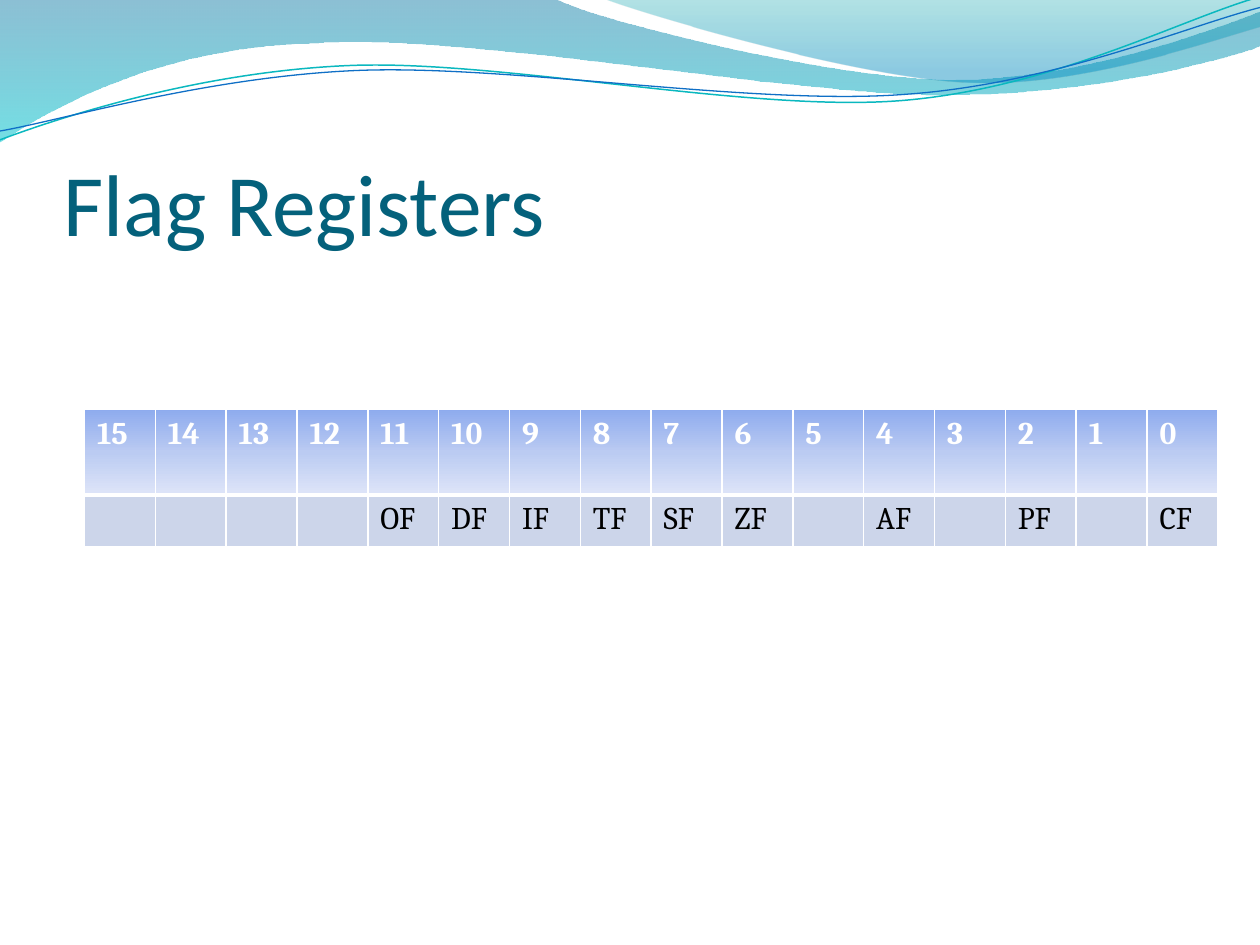
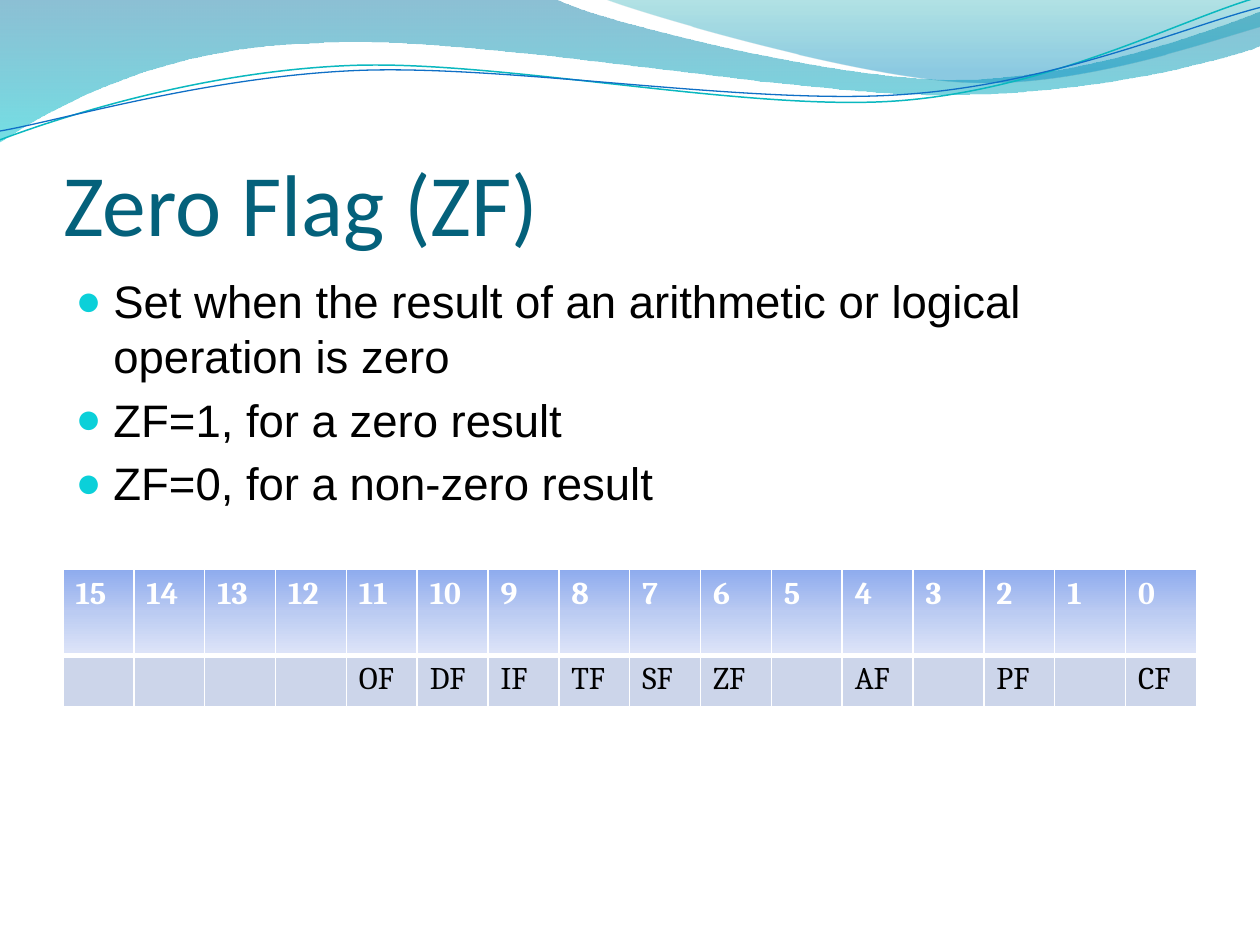
from dataclasses import dataclass
from math import cos, radians, sin
from typing import Optional

from pptx import Presentation
from pptx.dml.color import RGBColor
from pptx.enum.text import MSO_ANCHOR, MSO_AUTO_SIZE, PP_ALIGN
from pptx.oxml import parse_xml
from pptx.oxml.ns import nsdecls, qn
from pptx.util import Inches, Pt


@dataclass(frozen=True)
class Stop:
    position: int
    color: str
    opacity: int = 100


@dataclass(frozen=True)
class Theme:
    title_font: str = "Calibri"
    body_font: str = "Arial"
    table_font: str = "Cambria"
    title_size: int = 50
    body_size: int = 26
    table_size: int = 18
    title: str = "04617B"
    text: str = "000000"
    white: str = "FFFFFF"
    bullet: str = "0BD0D9"
    flag_fill: str = "CCD5EA"
    bit_fill: tuple[Stop, ...] = (
        Stop(0, "8EABEE"), Stop(50, "BBCBF2"), Stop(100, "DEE5F8"))
    wide_wave: tuple[Stop, ...] = (Stop(0, "0074A1", 45), Stop(100, "00C6CF", 55))
    corner_wave: tuple[Stop, ...] = (Stop(0, "00A1A9", 30), Stop(80, "008BBF", 45))
    teal_line: str = "0AB8BF"
    blue_line: str = "0F6FC6"


THEME = Theme()
Point = tuple[float, float]


@dataclass(frozen=True)
class Wave:
    """Segments hold an end point, or two control points and an end point."""
    start: Point
    segments: tuple[tuple[float, ...], ...]
    fill: tuple[Stop, ...] = ()
    line: Optional[str] = None
    width: float = 0
    tilt: float = 0
    pivot: Point = (0, 0)


@dataclass(frozen=True)
class FlagSlide:
    title: str
    table_left: float
    table_top: float
    points: tuple[str, ...] = ()


LINE_TILT = -2.7
WAVES = (
    Wave((0, 0), (
        (4.4, -0.01),
        (4.76, 0.17, 6.64, 0.63, 7.58, 0.63),
        (8.53, 0.63, 9.58, 0.26, 10, 0.09),
        (10.01, 0.36),
        (9.83, 0.44, 8.7, 0.76, 7.46, 0.75),
        (6.22, 0.75, 3.82, 0.28, 2.57, 0.34),
        (1.29, 0.36, 0.46, 0.83, -0.01, 1.13),
        (0, 0),
    ), fill=THEME.wide_wave),
    Wave((4.79, -0.01), (
        (5.09, 0.11, 6.82, 0.62, 7.69, 0.65),
        (8.56, 0.69, 9.61, 0.32, 10, 0.21),
        (10, 0),
        (4.79, -0.01),
    ), fill=THEME.corner_wave),
    Wave((0, 1.11), (
        (0.48, 0.93, 1.58, 0.57, 2.77, 0.52),
        (3.95, 0.47, 5.93, 0.89, 7.13, 0.8),
        (8.33, 0.71, 9.38, 0.15, 9.98, -0.02),
    ), line=THEME.teal_line, width=0.85, tilt=LINE_TILT, pivot=(4.99, 0.57)),
    Wave((0, 1.04), (
        (0.47, 0.96, 1.64, 0.61, 2.83, 0.56),
        (4.03, 0.51, 5.97, 0.84, 7.17, 0.75),
        (8.36, 0.67, 9.41, 0.21, 10, 0.06),
    ), line=THEME.blue_line, width=0.75, tilt=LINE_TILT, pivot=(5, 0.59)),
)

BIT_COUNT = 16
TABLE_WIDTH = 9
ROW_HEIGHTS = (0.68, 0.4)
FLAGS = {11: "OF", 10: "DF", 9: "IF", 8: "TF", 7: "SF", 6: "ZF",
         4: "AF", 2: "PF", 0: "CF"}

SLIDES = (
    FlagSlide("Flag Registers", 0.67, 3.25),
    FlagSlide("Zero Flag (ZF)", 0.5, 4.52, (
        "Set when the result of an arithmetic or logical operation is zero",
        "ZF=1, for a zero result",
        "ZF=0, for a non-zero result",
    )),
)


# Shared formatting
def style_runs(paragraph, font: str, size: int, color: str, bold: bool = False) -> None:
    for run in paragraph.runs:
        run.font.name = font
        run.font.size = Pt(size)
        run.font.bold = bold
        run.font.color.rgb = RGBColor.from_string(color)


def fill_gradient(fill, properties, stops: tuple[Stop, ...]) -> None:
    """Swap a solid fill for a gradient running from top to bottom."""
    fill.solid()
    stop_xml = "".join(
        f'<a:gs pos="{stop.position * 1000}"><a:srgbClr val="{stop.color}">'
        f'<a:alpha val="{stop.opacity * 1000}"/></a:srgbClr></a:gs>'
        for stop in stops)
    gradient = parse_xml(
        f'<a:gradFill {nsdecls("a")} rotWithShape="1"><a:gsLst>{stop_xml}</a:gsLst>'
        '<a:lin ang="5400000" scaled="0"/></a:gradFill>')
    properties.replace(properties.find(qn("a:solidFill")), gradient)


def place(shape, left: float, top: float, width: float, height: float) -> None:
    shape.left, shape.top = Inches(left), Inches(top)
    shape.width, shape.height = Inches(width), Inches(height)


# Wave band on the master
def level_point(x: float, y: float, wave: Wave) -> tuple[int, int]:
    """Take the tilt out of a point, since the shape's rotation puts it back."""
    angle = radians(-wave.tilt)
    dx, dy = x - wave.pivot[0], y - wave.pivot[1]
    return (Inches(wave.pivot[0] + dx * cos(angle) - dy * sin(angle)),
            Inches(wave.pivot[1] + dx * sin(angle) + dy * cos(angle)))


def bend_segments(ribbon, segments: tuple[tuple[float, ...], ...]) -> None:
    """Join each run of three straight steps that stands for a Bézier curve."""
    steps = iter(ribbon.element.spPr.findall(f'.//{qn("a:lnTo")}'))
    for segment in segments:
        first = next(steps)
        if len(segment) == 2:
            continue
        curve = parse_xml(f'<a:cubicBezTo {nsdecls("a")}/>')
        first.addprevious(curve)
        for step in (first, next(steps), next(steps)):
            curve.append(step[0])
            step.getparent().remove(step)


def draw_wave(slide, wave: Wave):
    points = [wave.start]
    for segment in wave.segments:
        points += zip(segment[::2], segment[1::2])
    vertices = [level_point(x, y, wave) for x, y in points]
    builder = slide.shapes.build_freeform(*vertices[0])
    builder.add_line_segments(vertices[1:], close=bool(wave.fill))
    ribbon = builder.convert_to_shape()
    bend_segments(ribbon, wave.segments)
    ribbon.rotation = wave.tilt
    ribbon.shadow.inherit = False
    if wave.fill:
        fill_gradient(ribbon.fill, ribbon.element.spPr, wave.fill)
        ribbon.line.fill.background()
    else:
        ribbon.fill.background()
        ribbon.line.color.rgb = RGBColor.from_string(wave.line)
        ribbon.line.width = Pt(wave.width)
    return ribbon


def add_master_band(master, slide) -> None:
    """Draw the waves on a slide, then move them behind everything on the master."""
    for index, wave in enumerate(WAVES):
        ribbon = draw_wave(slide, wave).element
        ribbon.nvSpPr.cNvPr.set("id", str(100 + index))
        master.shapes.element.insert(2 + index, ribbon)


# Title and list
def write_title(title, text: str) -> None:
    place(title, 0.5, 0.77, 9, 1.25)
    frame = title.text_frame
    frame.text = text
    frame.auto_size = MSO_AUTO_SIZE.NONE
    frame.vertical_anchor = MSO_ANCHOR.BOTTOM
    frame.margin_left = frame.margin_right = frame.margin_bottom = 0
    frame.margin_top = Inches(0.05)
    heading = frame.paragraphs[0]
    heading.alignment = PP_ALIGN.LEFT
    style_runs(heading, THEME.title_font, THEME.title_size, THEME.title)


def write_points(body, points: tuple[str, ...]) -> None:
    place(body, 0.5, 2.12, 9, 4.8)
    frame = body.text_frame
    frame.text = "\n".join(points)
    frame.auto_size = MSO_AUTO_SIZE.NONE
    for point in frame.paragraphs:
        style_runs(point, THEME.body_font, THEME.body_size, THEME.text)
        properties = point._p.get_or_add_pPr()
        properties.set("marL", str(Inches(0.3)))
        properties.set("indent", str(-Inches(0.3)))
        for bullet_xml in (
            f'<a:spcBef {nsdecls("a")}><a:spcPct val="20000"/></a:spcBef>',
            f'<a:buClr {nsdecls("a")}><a:srgbClr val="{THEME.bullet}"/></a:buClr>',
            f'<a:buSzPct {nsdecls("a")} val="95000"/>',
            f'<a:buFont {nsdecls("a")} typeface="{THEME.body_font}"/>',
            f'<a:buChar {nsdecls("a")} char="●"/>',
        ):
            properties.append(parse_xml(bullet_xml))


# Register table
def set_borders(cell, top: int, bottom: int) -> None:
    properties = cell._tc.get_or_add_tcPr()
    widths = {"lnL": 1, "lnR": 1, "lnT": top, "lnB": bottom}
    for index, (side, width) in enumerate(widths.items()):
        properties.insert(index, parse_xml(
            f'<a:{side} {nsdecls("a")} w="{Pt(width)}"><a:solidFill>'
            f'<a:srgbClr val="{THEME.white}"/></a:solidFill></a:{side}>'))


def write_cell(cell, text: str, color: str, bold: bool) -> None:
    cell.text = text
    style_runs(cell.text_frame.paragraphs[0], THEME.table_font, THEME.table_size,
               color, bold)


def add_register(slide, left: float, top: float) -> None:
    register = slide.shapes.add_table(
        2, BIT_COUNT, Inches(left), Inches(top),
        Inches(TABLE_WIDTH), Inches(sum(ROW_HEIGHTS))).table
    register.horz_banding = False
    for row, height in zip(register.rows, ROW_HEIGHTS):
        row.height = Inches(height)
    for column, bit in enumerate(reversed(range(BIT_COUNT))):
        register.columns[column].width = Inches(TABLE_WIDTH / BIT_COUNT)
        bit_cell, flag_cell = register.cell(0, column), register.cell(1, column)
        write_cell(bit_cell, str(bit), THEME.white, True)
        fill_gradient(bit_cell.fill, bit_cell._tc.get_or_add_tcPr(), THEME.bit_fill)
        set_borders(bit_cell, top=1, bottom=3)
        write_cell(flag_cell, FLAGS.get(bit, ""), THEME.text, False)
        flag_cell.fill.solid()
        flag_cell.fill.fore_color.rgb = RGBColor.from_string(THEME.flag_fill)
        set_borders(flag_cell, top=3, bottom=1)


def add_flag_slide(deck, content: FlagSlide):
    layout = "Title and Content" if content.points else "Title Only"
    slide = deck.slides.add_slide(deck.slide_layouts.get_by_name(layout))
    write_title(slide.shapes.title, content.title)
    if content.points:
        write_points(slide.placeholders[1], content.points)
    add_register(slide, content.table_left, content.table_top)
    return slide


def main() -> None:
    deck = Presentation()
    deck.slide_width, deck.slide_height = Inches(10), Inches(7.5)
    flag_slides = [add_flag_slide(deck, content) for content in SLIDES]
    add_master_band(deck.slide_master, flag_slides[0])
    deck.save("out.pptx")


if __name__ == "__main__":
    main()
